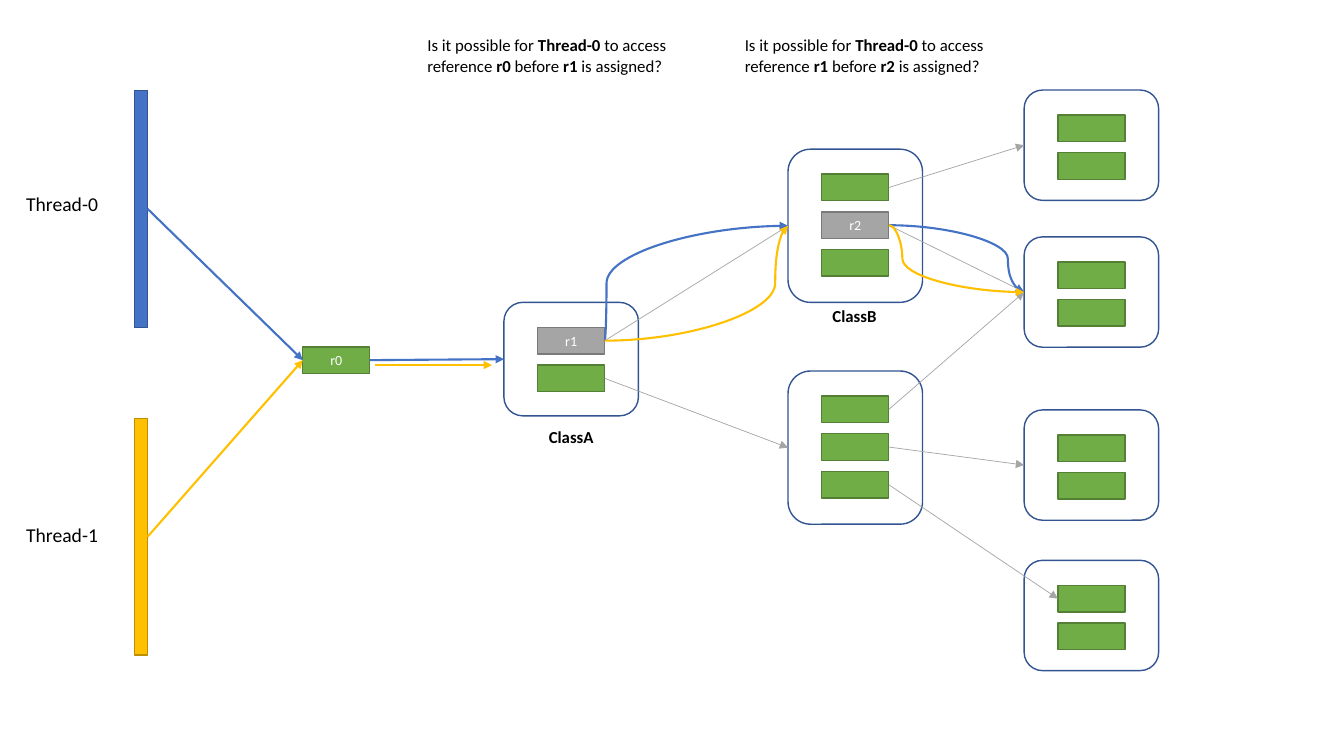
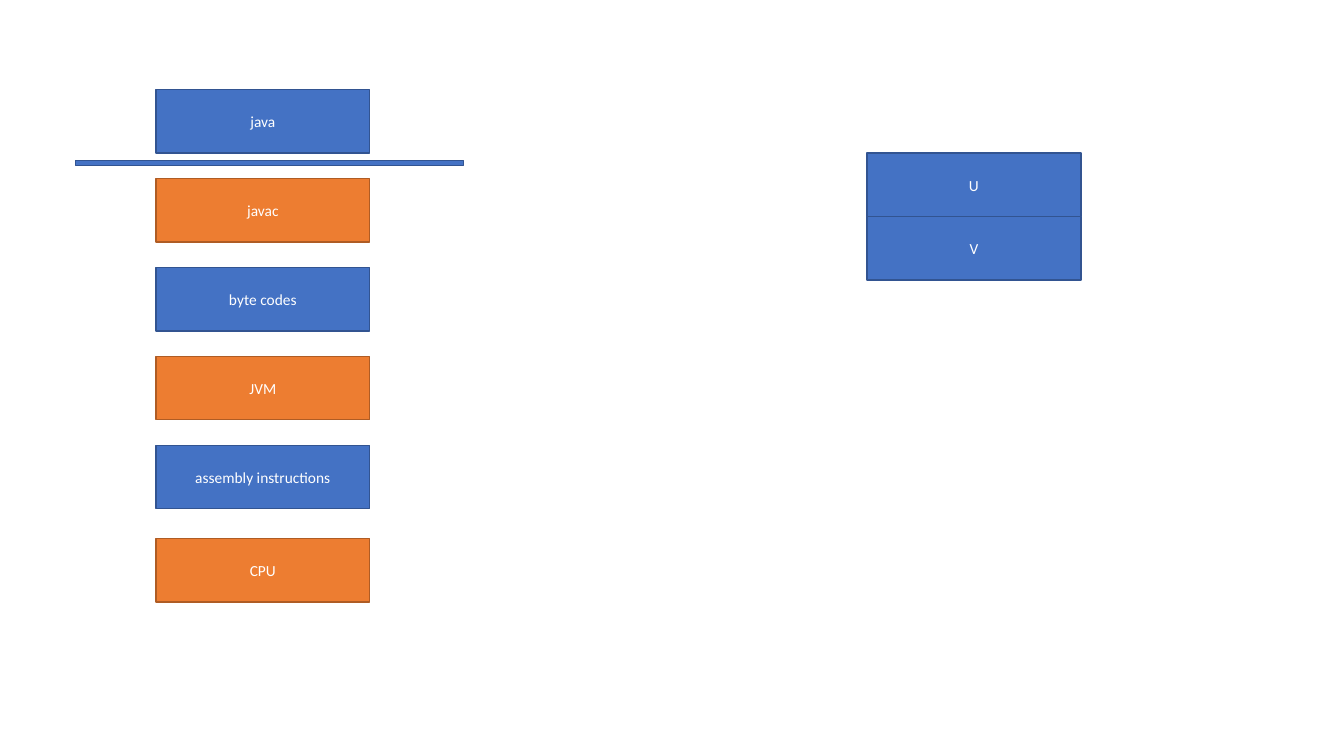
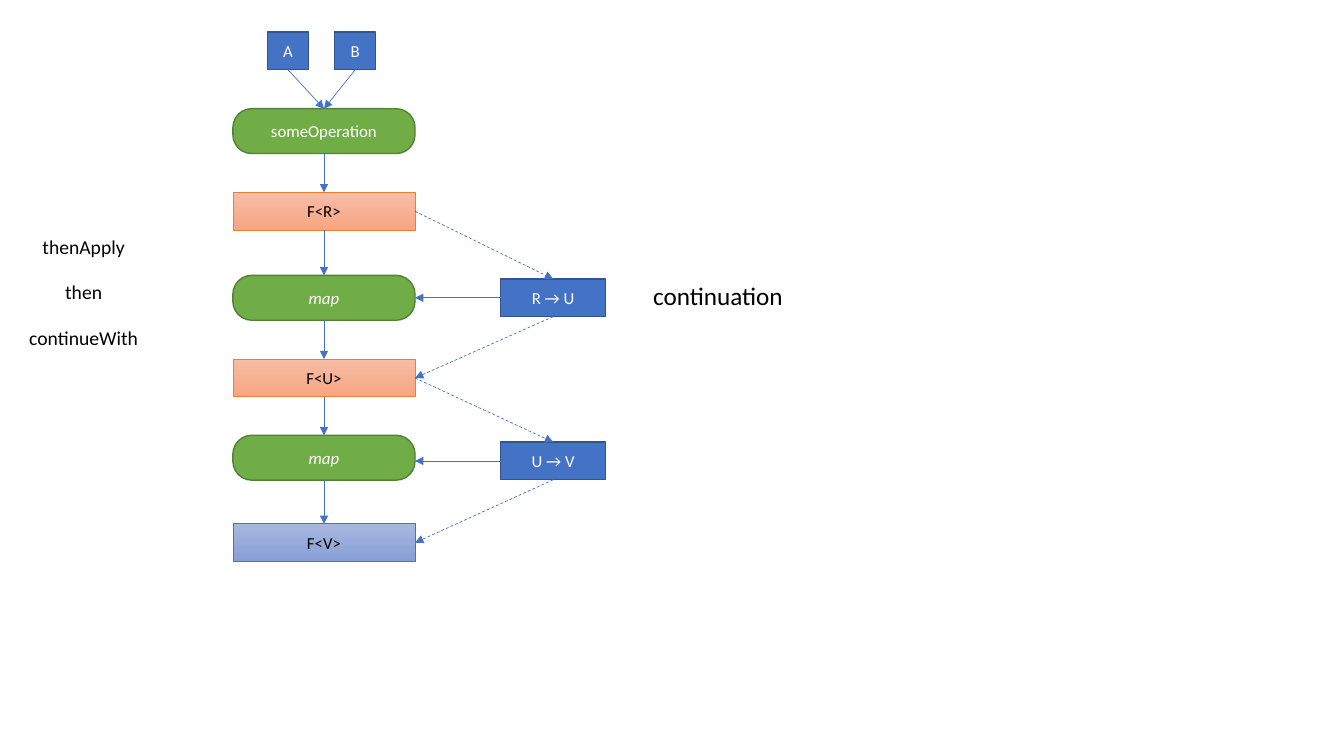
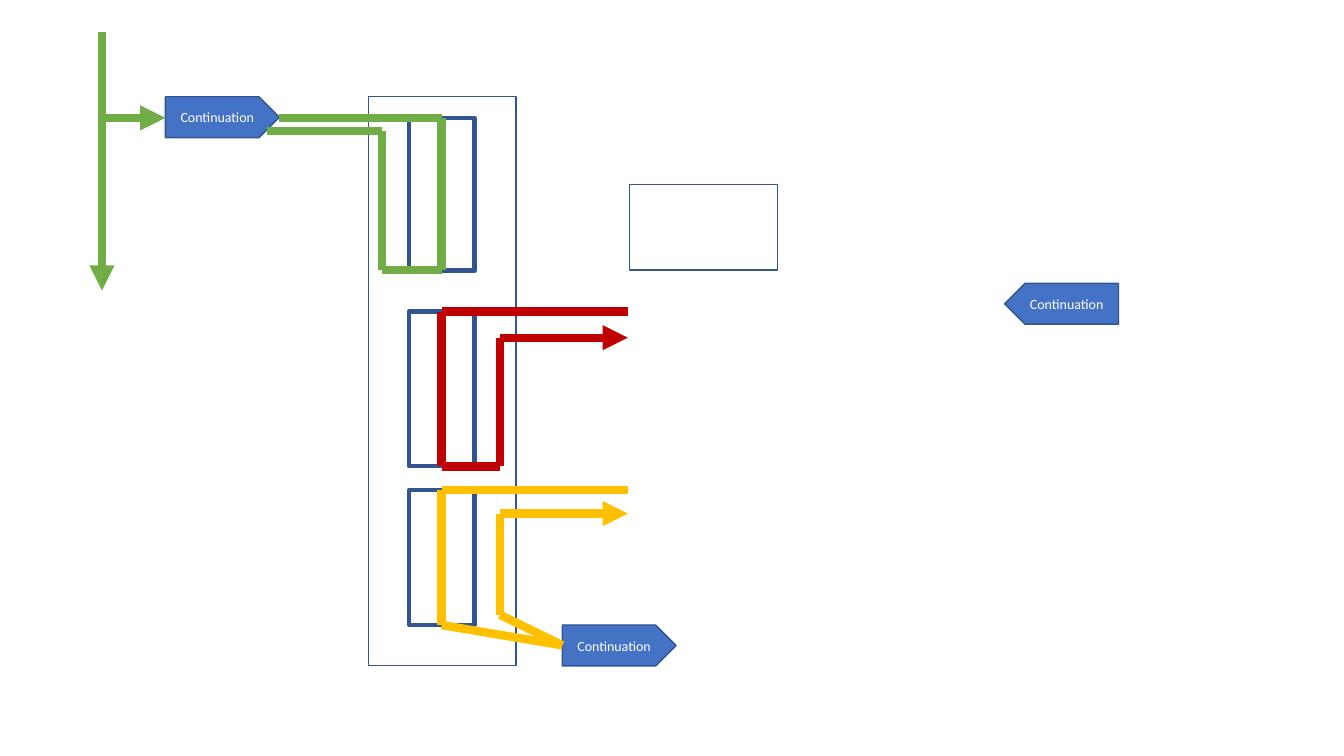
from dataclasses import dataclass
from enum import IntEnum
from itertools import pairwise
from typing import NamedTuple

from lxml.etree import SubElement
from pptx import Presentation
from pptx.dml.color import RGBColor
from pptx.enum.dml import MSO_LINE
from pptx.enum.shapes import MSO_CONNECTOR as CXN, MSO_SHAPE as GEO
from pptx.enum.text import MSO_ANCHOR as ANCHOR, MSO_AUTO_SIZE as AUTO, PP_ALIGN as ALIGN
from pptx.oxml.ns import qn
from pptx.shapes.autoshape import Shape
from pptx.shapes.connector import Connector
from pptx.slide import Slide
from pptx.util import Cm, Pt


class Paint(NamedTuple):
    fill: str | tuple[str, str] | None
    line: str
    width: float = 1


@dataclass(frozen=True)
class Theme:
    font: str = "Calibri"
    black: str = "000000"
    white: str = "FFFFFF"
    blue: str = "4472C4"
    amber: str = "FFC000"
    green: str = "70AD47"
    grey: str = "A5A5A5"
    red: str = "C00000"
    blue_box: Paint = Paint("4472C4", "325491")
    orange_box: Paint = Paint("ED7D31", "AF5C24")
    green_box: Paint = Paint("70AD47", "538035")
    grey_box: Paint = Paint("A5A5A5", "7A7A7A")
    amber_box: Paint = Paint("FFC000", "BD8E00")
    outline: Paint = Paint(None, "325491")
    thick_outline: Paint = Paint(None, "325491", 3)
    peach_box: Paint = Paint(("F7BDA5", "F8A582"), "ED7D31", 0.5)
    pale_blue_box: Paint = Paint(("A8B7DF", "889ED7"), "4472C4", 0.5)
    tiny: float = 10
    small: float = 11
    normal: float = 12
    label: float = 14
    large: float = 18


T = Theme()


class Side(IntEnum):
    TOP = 0
    LEFT = 1
    BOTTOM = 2
    RIGHT = 3


class Box(NamedTuple):
    x: float
    y: float
    w: float
    h: float


class Point(NamedTuple):
    x: float
    y: float


class Anchor(NamedTuple):
    shape: Shape
    side: Side


class Stroke(NamedTuple):
    color: str
    width: float
    arrow: bool = True
    dash: bool = False


class Node(NamedTuple):
    x: float
    y: float
    h: float
    cells: tuple[str, ...]


class DrawnNode(NamedTuple):
    frame: Shape
    cells: list[Shape]


class Thread(NamedTuple):
    name: str
    bar_y: float
    label_y: float
    paint: Paint


class Step(NamedTuple):
    text: str
    y: float
    paint: Paint


def write(sp: Shape, text: str, *, size: float, color: str, bold: bool = False,
          italic: bool = False, align: ALIGN = ALIGN.CENTER) -> None:
    p = sp.text_frame.paragraphs[0]
    p.alignment = align
    for i, part in enumerate(text.split("*")):
        r = p.add_run()
        r.text = part
        r.font.name = T.font
        r.font.size = Pt(size)
        r.font.bold = bold or i % 2 == 1
        r.font.italic = italic
        r.font.color.rgb = RGBColor.from_string(color)


def add_text(s: Slide, box: Box, text: str, *, size: float, wrap: bool = True,
             bold: bool = False, align: ALIGN = ALIGN.LEFT) -> None:
    sp = s.shapes.add_textbox(*map(Cm, box))
    sp.text_frame.word_wrap = wrap
    sp.text_frame.auto_size = AUTO.SHAPE_TO_FIT_TEXT
    write(sp, text, size=size, color=T.black, bold=bold, align=align)


def add_box(s: Slide, box: Box, paint: Paint, text: str = "", *, geo: GEO = GEO.RECTANGLE,
            size: float = T.normal, color: str = T.white, italic: bool = False) -> Shape:
    sp = s.shapes.add_shape(geo, *map(Cm, box))
    sp.shadow.inherit = False
    if paint.fill is None:
        sp.fill.background()
    elif isinstance(paint.fill, tuple):
        sp.fill.gradient()
        sp.fill.gradient_angle = 270
        for stop, shade in zip(sp.fill.gradient_stops, paint.fill):
            stop.color.rgb = RGBColor.from_string(shade)
    else:
        sp.fill.solid()
        sp.fill.fore_color.rgb = RGBColor.from_string(paint.fill)
    sp.line.color.rgb = RGBColor.from_string(paint.line)
    sp.line.width = Pt(paint.width)
    if text:
        sp.text_frame.vertical_anchor = ANCHOR.MIDDLE
        write(sp, text, size=size, color=color, italic=italic)
    return sp


def add_line(s: Slide, start: Anchor | Point, end: Anchor | Point, stroke: Stroke,
             bend: float | None = None) -> Connector:
    x1, y1 = map(Cm, start) if isinstance(start, Point) else (0, 0)
    x2, y2 = map(Cm, end) if isinstance(end, Point) else (0, 0)
    c = s.shapes.add_connector(CXN.STRAIGHT if bend is None else CXN.CURVE, x1, y1, x2, y2)
    if isinstance(start, Anchor):
        c.begin_connect(*start)
    if isinstance(end, Anchor):
        c.end_connect(*end)
    c.line.color.rgb = RGBColor.from_string(stroke.color)
    c.line.width = Pt(stroke.width)
    if stroke.dash:
        c.line.dash_style = MSO_LINE.DASH
    sppr = c._element.spPr
    if stroke.arrow:
        SubElement(sppr.find(qn("a:ln")), qn("a:tailEnd"), type="triangle")
    if bend is not None:
        guides = sppr.find(qn("a:prstGeom")).find(qn("a:avLst"))
        SubElement(guides, qn("a:gd"), name="adj1", fmla=f"val {round(bend * 100000)}")
    SubElement(sppr, qn("a:effectLst"))
    return c


def add_route(s: Slide, color: str, points: list[Point], arrow: bool) -> None:
    legs = list(pairwise(points))
    for i, (start, end) in enumerate(legs, 1):
        add_line(s, start, end, Stroke(color, 6, arrow and i == len(legs)))


def add_reference(s: Slide, x: float, y: float, text: str = "", paint: Paint = T.green_box) -> Shape:
    return add_box(s, Box(x, y, 1.69, 0.67), paint, text, size=T.tiny)


def add_node(s: Slide, node: Node) -> DrawnNode:
    frame = add_box(s, Box(node.x, node.y, 3.39, node.h), T.outline, geo=GEO.ROUNDED_RECTANGLE)
    cells = [
        add_reference(s, node.x + 0.85, node.y + 0.63 + 0.95 * i, name,
                      T.grey_box if name else T.green_box)
        for i, name in enumerate(node.cells)
    ]
    return DrawnNode(frame, cells)


def references_slide(s: Slide) -> None:
    class_a = add_node(s, Node(12.7, 7.62, 2.86, ("r1", "")))
    class_b = add_node(s, Node(19.86, 3.76, 3.86, ("", "r2", "")))
    sibling = add_node(s, Node(19.86, 9.35, 3.86, ("", "", "")))
    leaves = [add_node(s, Node(25.81, y, 2.78, ("", ""))) for y in (2.27, 5.97, 10.33, 14.12)]
    r0 = add_reference(s, 7.63, 8.74, "r0")
    r1, r2 = class_a.cells[0], class_b.cells[1]

    for source, target in (
        (r1, class_b.frame),
        (class_a.cells[1], sibling.frame),
        (class_b.cells[0], leaves[0].frame),
        (r2, leaves[1].frame),
        (sibling.cells[0], leaves[1].frame),
        (sibling.cells[1], leaves[2].frame),
        (sibling.cells[2], leaves[3].cells[0]),
    ):
        add_line(s, Anchor(source, Side.RIGHT), Anchor(target, Side.LEFT), Stroke(T.grey, 0.5))

    blue, amber = Stroke(T.blue, 1.5), Stroke(T.amber, 1.5)
    for thread, stroke in (
        (Thread("Thread-0", 2.28, 4.7, T.blue_box), blue),
        (Thread("Thread-1", 10.54, 13.06, T.amber_box), amber),
    ):
        bar = add_box(s, Box(3.39, thread.bar_y, 0.33, 5.97), thread.paint)
        add_text(s, Box(0.41, thread.label_y, 2.34, 0.86), thread.name, size=T.label, wrap=False)
        add_line(s, Anchor(bar, Side.RIGHT), Anchor(r0, Side.LEFT), stroke)

    add_line(s, Anchor(r0, Side.RIGHT), Anchor(class_a.frame, Side.LEFT), blue)
    add_line(s, Point(9.45, 9.2), Point(12.4, 9.2), amber)
    for source, target, stroke, bend in (
        (r1, class_b.frame, blue, 0.01),
        (r1, class_b.frame, amber, 0.93),
        (r2, leaves[1].frame, blue, 0.88),
        (r2, leaves[1].frame, amber, 0.1),
    ):
        add_line(s, Anchor(source, Side.RIGHT), Anchor(target, Side.LEFT), stroke, bend)

    for x, first, second in ((10.52, "r0", "r1"), (18.52, "r1", "r2")):
        add_text(s, Box(x, 0.76, 7.47, 1.27),
                 f"Is it possible for *Thread-0* to access reference *{first}* "
                 f"before *{second}* is assigned?", size=T.normal)
    for name, x, y in (("ClassA", 12.7, 10.64), ("ClassB", 19.84, 7.59)):
        add_text(s, Box(x, y, 3.39, 0.76), name, size=T.normal, bold=True, align=ALIGN.CENTER)


def layers_slide(s: Slide) -> None:
    names = ("java", "javac", "byte codes", "JVM", "assembly instructions", "CPU")
    tops = (2.26, 4.5, 6.74, 8.98, 11.22, 13.57)
    for i, (name, y) in enumerate(zip(names, tops)):
        paint = T.orange_box if i % 2 else T.blue_box
        add_box(s, Box(3.93, y, 5.39, 1.6), paint, name, size=T.small)
    for i, name in enumerate("UV"):
        add_box(s, Box(21.85, 3.86 + 1.6 * i, 5.39, 1.6), T.blue_box, name, size=T.small)
    add_box(s, Box(1.9, 4.04, 9.78, 0.13), T.blue_box)


def continuation_slide(s: Slide) -> None:
    solid, dashed = Stroke(T.blue, 0.5), Stroke(T.blue, 0.5, dash=True)
    column_x, column_w = 5.87, 4.59
    steps = []
    for step in (
        Step("someOperation", 2.74, T.green_box),
        Step("F<R>", 4.85, T.peach_box),
        Step("map", 6.94, T.green_box),
        Step("F<U>", 9.05, T.peach_box),
        Step("map", 10.97, T.green_box),
        Step("F<V>", 13.2, T.pale_blue_box),
    ):
        operation = step.paint is T.green_box
        sp = add_box(s, Box(column_x, step.y, column_w, 1.13 if operation else 0.95),
                     step.paint, step.text,
                     geo=GEO.ROUNDED_RECTANGLE if operation else GEO.RECTANGLE,
                     color=T.white if operation else T.black, italic=step.text == "map")
        if operation:
            sp.adjustments[0] = 0.42
        steps.append(sp)
    for upper, lower in pairwise(steps):
        add_line(s, Anchor(upper, Side.BOTTOM), Anchor(lower, Side.TOP), solid)

    for name, x in (("A", 6.74), ("B", 8.43)):
        operand = add_box(s, Box(x, 0.81, 1.04, 0.95), T.blue_box, name)
        add_line(s, Anchor(operand, Side.BOTTOM), Anchor(steps[0], Side.TOP), solid)

    for name, y, before, after in (
        ("R → U", 7.03, steps[1], steps[3]),
        ("U → V", 11.14, steps[3], steps[5]),
    ):
        mapper = add_box(s, Box(12.62, y, 2.64, 0.95), T.blue_box, name)
        add_line(s, Anchor(mapper, Side.LEFT), Point(column_x + column_w, y + 0.475), solid)
        add_line(s, Anchor(before, Side.RIGHT), Anchor(mapper, Side.TOP), dashed)
        add_line(s, Anchor(mapper, Side.BOTTOM), Anchor(after, Side.RIGHT), dashed)

    for i, name in enumerate(("thenApply", "then", "continueWith")):
        add_text(s, Box(0.46, 5.79 + 1.15 * i, 3.3, 0.86), name, size=T.label,
                 wrap=False, align=ALIGN.CENTER)
    add_text(s, Box(16.21, 6.93, 3.84, 1.02), "continuation", size=T.large, wrap=False)


def workers_slide(s: Slide) -> None:
    for x, y, flipped in ((4.17, 2.44, False), (14.17, 15.75, False), (25.32, 7.14, True)):
        tag = add_box(s, Box(x, y, 2.87, 1.03), T.blue_box, "Continuation",
                      geo=GEO.PENTAGON, size=T.tiny)
        if flipped:
            tag._element.spPr.find(qn("a:xfrm")).set("flipH", "1")
    add_box(s, Box(9.28, 2.44, 3.73, 14.33), T.outline)
    add_box(s, Box(15.87, 4.65, 3.73, 2.16), T.outline)
    for y, h in ((2.97, 3.85), (7.85, 3.9), (12.35, 3.4)):
        add_box(s, Box(10.31, y, 1.65, h), T.thick_outline)

    core, lane, edge = 11.13, 12.6, 15.82
    for color, arrow, points in (
        (T.green, True, ((2.57, 0.81), (2.57, 7.32))),
        (T.green, True, ((2.57, 2.97), (4.17, 2.97))),
        (T.green, False, ((7.04, 2.97), (core, 2.97), (core, 6.81), (9.63, 6.81),
                          (9.63, 3.3), (6.73, 3.3))),
        (T.red, True, ((edge, 7.85), (core, 7.85), (core, 11.75), (lane, 11.75),
                       (lane, 8.51), (edge, 8.51))),
        (T.amber, True, ((edge, 12.35), (core, 12.35), (core, 15.75), (14.17, 16.26),
                         (lane, 15.49), (lane, 12.94), (edge, 12.94))),
    ):
        add_route(s, color, [Point(*xy) for xy in points], arrow)


def main() -> None:
    prs = Presentation()
    prs.slide_width, prs.slide_height = Cm(33.87), Cm(19.05)
    for build in (references_slide, layers_slide, continuation_slide, workers_slide):
        build(prs.slides.add_slide(prs.slide_layouts[6]))
    prs.save("out.pptx")


if __name__ == "__main__":
    main()
